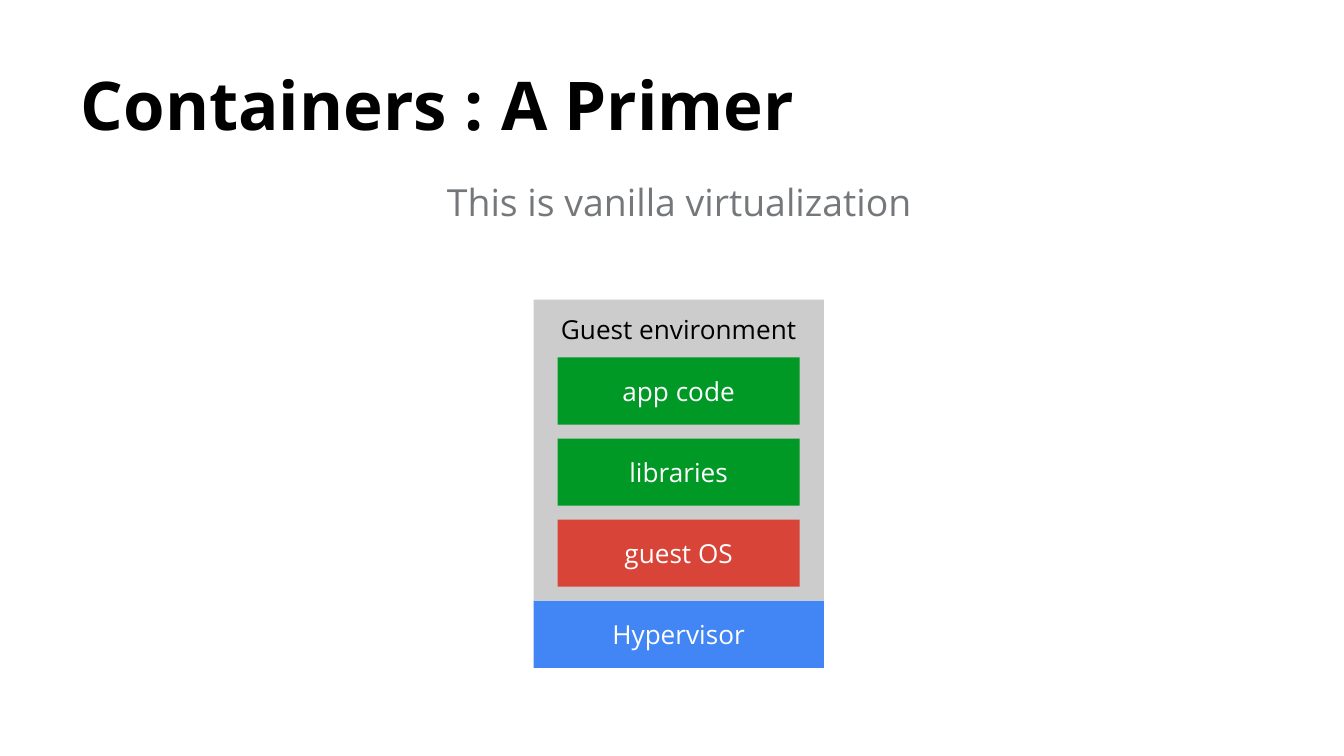
from pptx import Presentation
from pptx.dml.color import RGBColor
from pptx.enum.shapes import MSO_SHAPE
from pptx.enum.text import MSO_ANCHOR, PP_ALIGN
from pptx.util import Inches, Pt

FONT = "Open Sans"
BLACK = RGBColor(0x00, 0x00, 0x00)
WHITE = RGBColor(0xFF, 0xFF, 0xFF)
GRAY_TEXT = RGBColor(0x75, 0x78, 0x7A)
GUEST_GRAY = RGBColor(0xCC, 0xCC, 0xCC)
APP_GREEN = RGBColor(0x00, 0x99, 0x25)
OS_RED = RGBColor(0xD8, 0x44, 0x37)
HYPERVISOR_BLUE = RGBColor(0x42, 0x85, 0xF4)

SLIDE_WIDTH = 10
SLIDE_HEIGHT = SLIDE_WIDTH * 9 / 16
LAYER_HEIGHT = 0.5
GUEST_HEADER = 0.43
GUEST_LAYERS = [
    ("app code", APP_GREEN),
    ("libraries", APP_GREEN),
    ("guest OS", OS_RED),
]


def write(holder, text, size, color, anchor, align=PP_ALIGN.CENTER, bold=False):
    frame = holder.text_frame
    frame.text = text
    frame.word_wrap = True
    frame.vertical_anchor = anchor
    frame.margin_left = frame.margin_right = Inches(0.1)
    frame.margin_top = frame.margin_bottom = Inches(0.1)
    paragraph = frame.paragraphs[0]
    paragraph.alignment = align
    font = paragraph.runs[0].font
    font.name, font.size, font.bold = FONT, Pt(size), bold
    font.color.rgb = color


def add_block(slide, box, label, fill, color=WHITE, anchor=MSO_ANCHOR.MIDDLE):
    block = slide.shapes.add_shape(MSO_SHAPE.RECTANGLE, *map(Inches, box))
    block.shadow.inherit = False
    block.fill.solid()
    block.fill.fore_color.rgb = fill
    block.line.fill.background()
    write(block, label, 14, color, anchor)


def add_title(slide, box):
    title = slide.shapes.title
    title.left, title.top, title.width, title.height = map(Inches, box)
    write(title, "Containers : A Primer", 36, BLACK, MSO_ANCHOR.BOTTOM,
          PP_ALIGN.LEFT, bold=True)


def add_subtitle(slide, box):
    subtitle = slide.shapes.add_textbox(*map(Inches, box))
    write(subtitle, "This is vanilla virtualization", 20, GRAY_TEXT, MSO_ANCHOR.TOP)


def add_guest(slide, box):
    """Draw the guest environment, with an equal gap below each layer."""
    left, top, width, height = box
    add_block(slide, box, "Guest environment", GUEST_GRAY, BLACK, MSO_ANCHOR.TOP)
    side = width / 12
    pitch = (height - GUEST_HEADER) / len(GUEST_LAYERS)
    for row, (label, fill) in enumerate(GUEST_LAYERS):
        layer = (left + side, top + GUEST_HEADER + row * pitch,
                 width - 2 * side, LAYER_HEIGHT)
        add_block(slide, layer, label, fill)


def add_machine(slide, box):
    """Draw the guest environment resting on the hypervisor."""
    left, top, width, height = box
    guest_height = height - LAYER_HEIGHT
    add_block(slide, (left, top + guest_height, width, LAYER_HEIGHT),
              "Hypervisor", HYPERVISOR_BLUE)
    add_guest(slide, (left, top, width, guest_height))


def main():
    deck = Presentation()
    deck.slide_width, deck.slide_height = Inches(SLIDE_WIDTH), Inches(SLIDE_HEIGHT)
    slide = deck.slides.add_slide(deck.slide_layouts[5])
    add_title(slide, (0.5, 0.23, 9, 0.94))
    add_machine(slide, (3.97, 2.23, 2.16, 2.74))
    add_subtitle(slide, (2.8, 1.23, 4.51, 0.99))
    deck.save("out.pptx")


if __name__ == "__main__":
    main()
